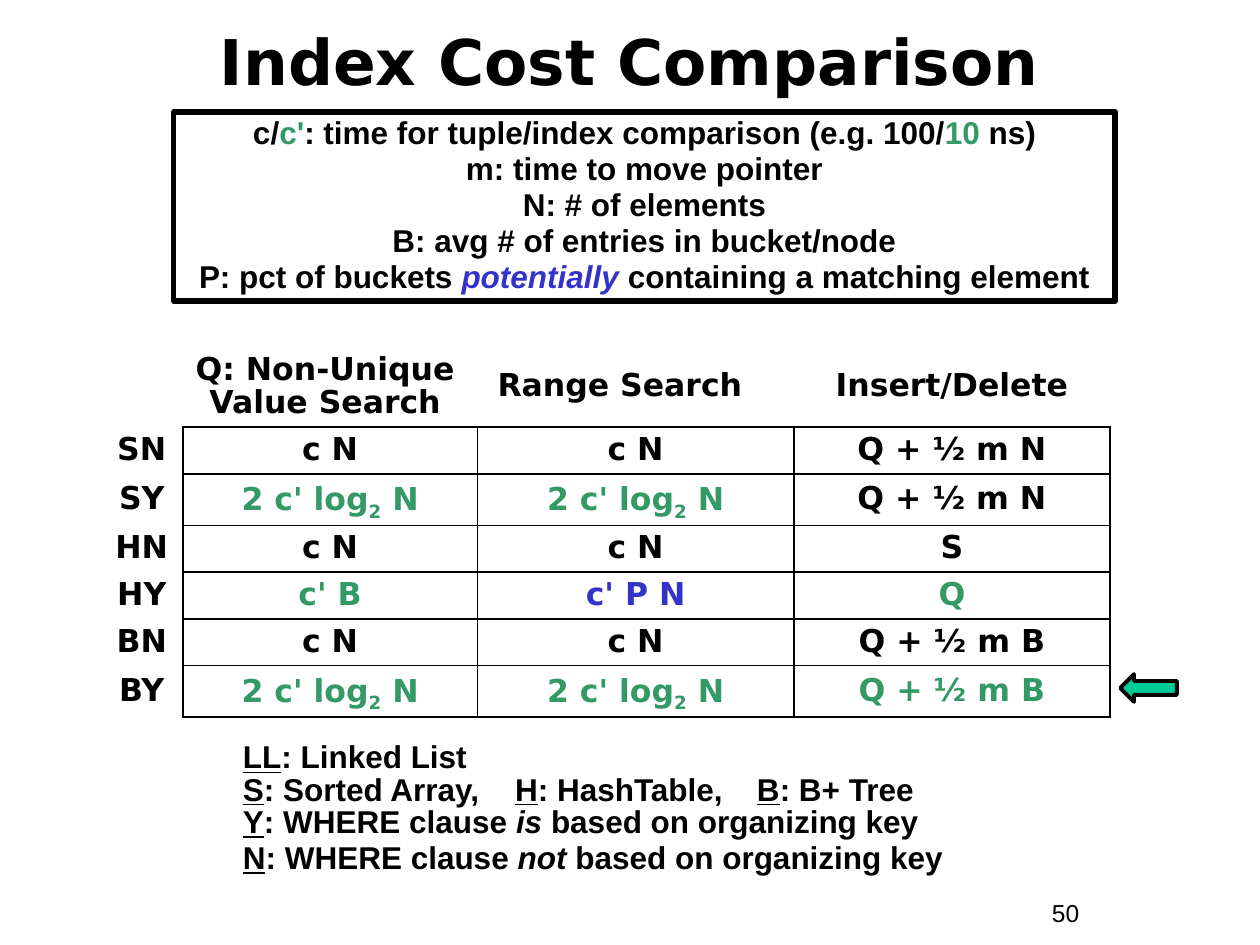
from lxml import etree
from pptx import Presentation
from pptx.dml.color import RGBColor
from pptx.enum.shapes import MSO_SHAPE as Shape
from pptx.enum.text import MSO_ANCHOR as Anchor, PP_ALIGN as Align
from pptx.oxml.ns import qn
from pptx.util import Inches, Pt

BLACK, GREEN, BLUE, TEAL = "000000", "339966", "3333CC", "00CC99"
BREAK = "\n"


def color(value):
    return RGBColor.from_string(value)


class SlideBuilder:
    heading_font = "DejaVu Sans"
    body_font = "Arial"
    body_size = 18

    def __init__(self, slide):
        self.slide = slide

    def fill_paragraph(self, paragraph, runs, font, size=body_size, bold=True,
                       align=Align.LEFT, spacing=None, before=0, tabs=()):
        if tabs:
            tab_list = etree.SubElement(paragraph._p.get_or_add_pPr(), qn("a:tabLst"))
            for position in tabs:
                etree.SubElement(tab_list, qn("a:tab"), pos=str(Inches(position)), algn="l")
        paragraph.alignment = align
        paragraph.line_spacing = spacing
        paragraph.space_before = Pt(before)
        paragraph.font.name = font
        paragraph.font.size = Pt(size)
        paragraph.font.bold = bold
        mixed = any(len(run) > 1 and "color" in run[1] for run in runs)
        if not mixed:
            paragraph.font.color.rgb = color(BLACK)
        for text, *styles in runs:
            if text == BREAK:
                paragraph.add_line_break()
                continue
            style = styles[0] if styles else {}
            run = paragraph.add_run()
            run.text = text
            if mixed:
                run.font.color.rgb = color(style.get("color", BLACK))
            if style.get("underline"):
                run.font.underline = True
            if style.get("italic"):
                run.font.italic = True
            if style.get("subscript"):
                run.font._element.set("baseline", "-25000")

    def paragraphs(self, frame, lines, **style):
        frame.word_wrap = True
        for index, runs in enumerate(lines):
            paragraph = frame.add_paragraph() if index else frame.paragraphs[0]
            self.fill_paragraph(paragraph, runs, self.body_font,
                                before=2.2 if index else 0, **style)

    def title(self, text, left, top, width, height):
        title = self.slide.shapes.title
        title.left, title.top = Inches(left), Inches(top)
        title.width, title.height = Inches(width), Inches(height)
        title.text_frame.vertical_anchor = Anchor.MIDDLE
        self.fill_paragraph(title.text_frame.paragraphs[0], [(text,)], self.heading_font,
                            size=36, align=Align.CENTER)

    def text(self, lines, left, top, width, height, **style):
        box = self.slide.shapes.add_textbox(
            Inches(left), Inches(top), Inches(width), Inches(height))
        self.paragraphs(box.text_frame, lines, **style)

    def shape(self, kind, left, top, width, height, line_width, fill=None):
        shape = self.slide.shapes.add_shape(
            kind, Inches(left), Inches(top), Inches(width), Inches(height))
        shape.shadow.inherit = False
        shape.line.color.rgb = color(BLACK)
        shape.line.width = Pt(line_width)
        if fill:
            shape.fill.solid()
            shape.fill.fore_color.rgb = color(fill)
        else:
            shape.fill.background()
        return shape

    def borders(self, cell, sides):
        properties = cell._tc.get_or_add_tcPr()
        for side in "LRTB":
            line = etree.SubElement(properties, qn(f"a:ln{side}"), w=str(Pt(1.08)))
            if side in sides:
                fill = etree.SubElement(line, qn("a:solidFill"))
                etree.SubElement(fill, qn("a:srgbClr"), val=BLACK)
            else:
                etree.SubElement(line, qn("a:noFill"))

    def table(self, rows, left, top, widths, heights):
        table = self.slide.shapes.add_table(
            len(rows), len(widths), Inches(left), Inches(top),
            Inches(sum(widths)), Inches(sum(heights))).table
        table.first_row = table.horz_banding = False
        for column, width in zip(table.columns, widths):
            column.width = Inches(width)
        for row, height in zip(table.rows, heights):
            row.height = Inches(height)
        for r, row in enumerate(rows):
            for c, runs in enumerate(row):
                cell = table.cell(r, c)
                if r and c:
                    sides = "LRTB"
                elif r:
                    sides = "R"
                else:
                    sides = "B" if c else ""
                self.borders(cell, sides)
                cell.fill.background()
                cell.vertical_anchor = Anchor.MIDDLE
                self.fill_paragraph(cell.text_frame.paragraphs[0], runs, self.heading_font,
                                    align=Align.CENTER, spacing=0.9)
        return table


def main():
    presentation = Presentation()
    presentation.slide_width, presentation.slide_height = Inches(10), Inches(7.5)
    slide = presentation.slides.add_slide(presentation.slide_layouts[5])
    builder = SlideBuilder(slide)
    green, blue = {"color": GREEN}, {"color": BLUE}
    key, italic = {"underline": True}, {"italic": True}

    builder.text([[("50",)]], 8.25, 7.08, 0.92, 0.34, size=14, bold=False)
    builder.title("Index Cost Comparison", 0.33, 0.1, 9.33, 0.75)

    scan = [("c N",)]
    search = [("2 c' log", green), ("2", {"color": GREEN, "subscript": True}), (" N", green)]
    shift = [("Q + ½ m N",)]
    rows = [
        [[], [("Q: Non-Unique",), (BREAK,), ("Value Search",)],
         [("Range Search",)], [("Insert/Delete",)]],
        [[("SN",)], scan, scan, shift],
        [[("SY",)], search, search, shift],
        [[("HN",)], scan, scan, [("S",)]],
        [[("HY",)], [("c' B", green)], [("c' P N", blue)], [("Q", green)]],
        [[("BN",)], scan, scan, [("Q + ½ m B",)]],
        [[("BY",)], search, search, [("Q + ½ m B", green)]],
    ]
    table = builder.table(rows, 0.8, 2.75, [0.65, 2.34, 2.51, 2.51],
                          [0.64, 0.37, 0.41, 0.37, 0.37, 0.37, 0.41])
    table.cell(0, 1).margin_left = Inches(0.05)
    table.cell(0, 1).margin_right = Inches(0.13)
    table.cell(0, 2).margin_right = Inches(0.35)

    builder.text([
        [("LL", key), (": Linked List",), (BREAK,),
         ("S", key), (": Sorted Array,\t",), ("H", key), (": HashTable,\t",),
         ("B", key), (": B+ Tree",), (BREAK,),
         ("Y", key), (": WHERE clause ",), ("is", italic), (" based on organizing key",)],
        [("N", key), (": WHERE clause ",), ("not", italic), (" based on organizing key",)],
    ], 1.83, 5.85, 6.33, 1.15, spacing=0.85, tabs=(2.16, 4.08))

    legend = builder.shape(Shape.RECTANGLE, 1.38, 0.89, 7.47, 1.5, 3)
    legend.text_frame.vertical_anchor = Anchor.TOP
    builder.paragraphs(legend.text_frame, [
        [("c/",), ("c'", green), (": time for tuple/index comparison (e.g. 100/",),
         ("10", green), (" ns)",)],
        [("m: time to move pointer",)],
        [("N: # of elements",)],
        [("B: avg # of entries in bucket/node",)],
        [("P: pct of buckets ",), ("potentially", {"color": BLUE, "italic": True}),
         (" containing a matching element",)],
    ], align=Align.CENTER, spacing=0.85)

    arrow = builder.shape(Shape.LEFT_ARROW, 8.89, 5.35, 0.45, 0.22, 2.25, TEAL)
    arrow.adjustments[0], arrow.adjustments[1] = 0.5, 0.5

    presentation.save("out.pptx")


if __name__ == "__main__":
    main()
